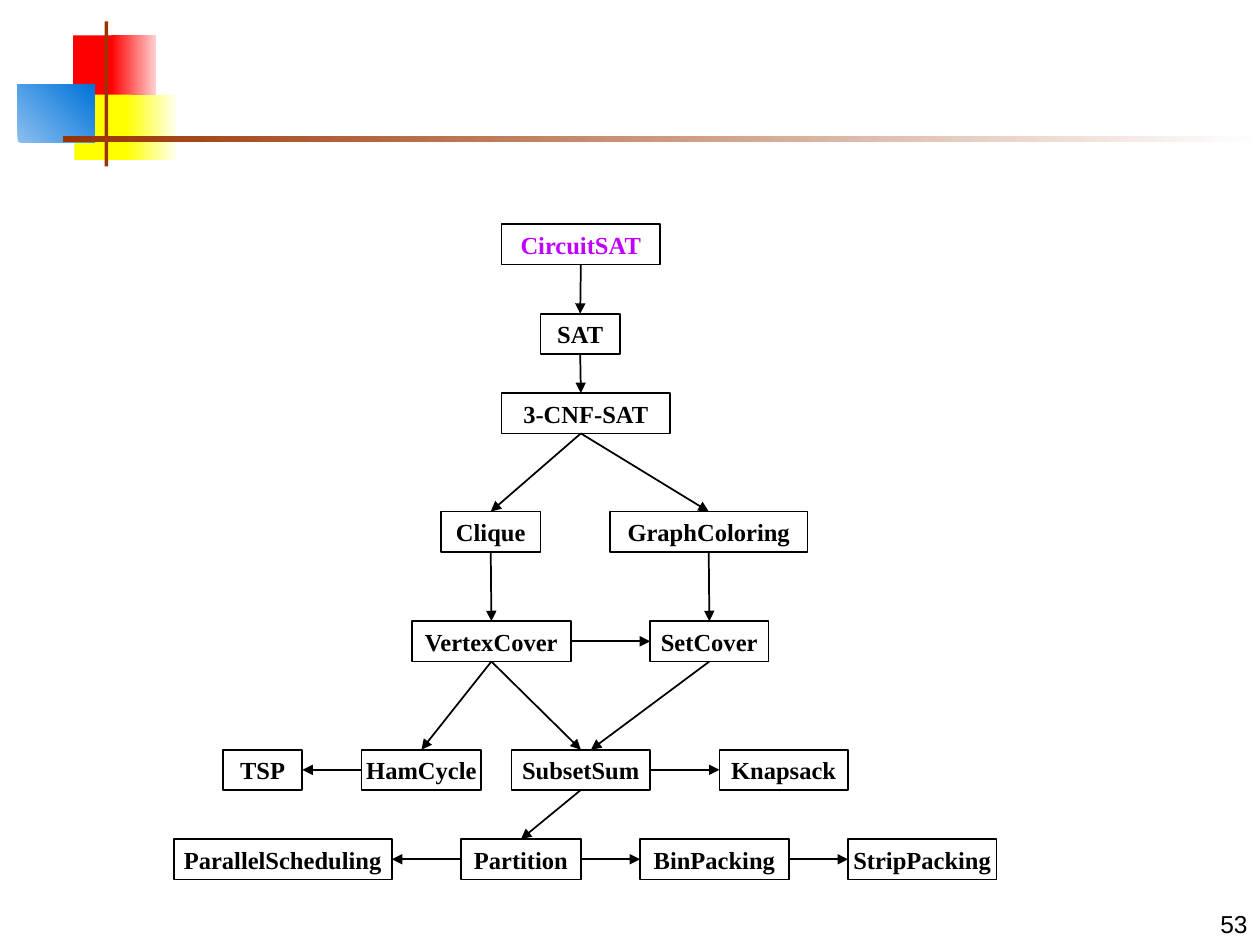
from pptx import Presentation
from pptx import util as u
from pptx.dml.color import RGBColor
from pptx.enum import shapes, text
from pptx.oxml import ns, xmlchemy

BLACK = RGBColor(0x00, 0x00, 0x00)
WHITE = RGBColor(0xFF, 0xFF, 0xFF)
PURPLE = RGBColor(0xBF, 0x00, 0xFF)
RED = RGBColor(0xFF, 0x00, 0x00)
PINK = RGBColor(0xFF, 0xD1, 0xD1)
YELLOW = RGBColor(0xFF, 0xFF, 0x00)
CREAM = RGBColor(0xFF, 0xFF, 0xF0)
SKY = RGBColor(0x8B, 0xBF, 0xEE)
BLUE = RGBColor(0x00, 0x73, 0xD9)
BROWN = RGBColor(0x99, 0x33, 0x00)

BOX_HEIGHT = 0.32

ORNAMENT = [
    ((0.58, 0.28, 0.35, 0.52), (RED,), 0),
    ((0.88, 0.28, 0.36, 0.52), (RED, PINK), 0),
    ((0.59, 0.75, 0.46, 0.52), (YELLOW,), 0),
    ((1, 0.75, 0.4, 0.52), (YELLOW, CREAM), 0),
    ((0.14, 0.67, 0.61, 0.46), (SKY, BLUE), 45),
    ((0.83, 0.17, 0.03, 1.15), (BROWN,), 0),
    ((0.5, 1.08, 9.5, 0.05), (BROWN, WHITE), 0),
]

ROWS = {
    1.78: [("CircuitSAT", 3.98, 1.26)],
    2.49: [("SAT", 4.29, 0.63)],
    3.12: [("3-CNF-SAT", 3.98, 1.34)],
    4.06: [("Clique", 3.5, 0.79), ("GraphColoring", 4.84, 1.57)],
    4.93: [("VertexCover", 3.27, 1.26), ("SetCover", 5.16, 0.94)],
    5.95: [("TSP", 1.77, 0.63), ("HamCycle", 2.87, 0.95),
           ("SubsetSum", 4.06, 1.1), ("Knapsack", 5.71, 1.02)],
    6.66: [("ParallelScheduling", 1.38, 1.73), ("Partition", 3.66, 0.95),
           ("BinPacking", 5.08, 1.18), ("StripPacking", 6.73, 1.18)],
}

REDUCTIONS = [
    ("CircuitSAT", "SAT"),
    ("SAT", "3-CNF-SAT"),
    ("3-CNF-SAT", "Clique"),
    ("3-CNF-SAT", "GraphColoring"),
    ("Clique", "VertexCover"),
    ("GraphColoring", "SetCover"),
    ("VertexCover", "SetCover"),
    ("VertexCover", "HamCycle"),
    ("VertexCover", "SubsetSum"),
    ("SetCover", "SubsetSum"),
    ("HamCycle", "TSP"),
    ("SubsetSum", "Knapsack"),
    ("SubsetSum", "Partition"),
    ("Partition", "ParallelScheduling"),
    ("Partition", "BinPacking"),
    ("BinPacking", "StripPacking"),
]

TRUNK_X = 4.61
ARRIVALS = {("SAT", "3-CNF-SAT"): TRUNK_X, ("SetCover", "SubsetSum"): 4.69}
DEPARTURES = {"3-CNF-SAT": TRUNK_X}


class ReductionSlide:
    """Draws the parts of a reduction map on one slide in a shared style."""

    def __init__(self, slide):
        self.slide = slide
        self.places = {}

    def rectangle(self, place):
        shape = self.slide.shapes.add_shape(
            shapes.MSO_SHAPE.RECTANGLE, *map(u.Inches, place))
        shape.shadow.inherit = False
        return shape

    def block(self, place, colors, angle):
        block = self.rectangle(place)
        block.line.fill.background()
        if len(colors) == 1:
            block.fill.solid()
            block.fill.fore_color.rgb = colors[0]
            return
        block.fill.gradient()
        block.fill.gradient_angle = angle
        for stop, color in zip(block.fill.gradient_stops, colors):
            stop.color.rgb = color

    def label(self, shape, words, font_name, color, align, anchor):
        frame = shape.text_frame
        frame.vertical_anchor = anchor
        paragraph = frame.paragraphs[0]
        paragraph.text = words
        paragraph.alignment = align
        paragraph.font.name = font_name
        paragraph.font.size = u.Pt(14)
        paragraph.font.color.rgb = color
        return paragraph

    def problem(self, name, left, top, width, color=BLACK):
        self.places[name] = left, top, width
        box = self.rectangle((left, top, width, BOX_HEIGHT))
        box.fill.background()
        box.line.color.rgb = BLACK
        box.line.width = u.Pt(1)
        caption = self.label(box, name, "Times New Roman", color,
                             text.PP_ALIGN.CENTER, text.MSO_ANCHOR.MIDDLE)
        caption.font.bold = True
        box.text_frame.word_wrap = False

    def reduction(self, source, target):
        left, top, width = self.places[source]
        to_left, to_top, to_width = self.places[target]
        if top == to_top:
            level = top + BOX_HEIGHT / 2
            if left < to_left:
                ends = left + width, level, to_left, level
            else:
                ends = left, level, to_left + to_width, level
        else:
            start = DEPARTURES.get(source, left + width / 2)
            end = ARRIVALS.get((source, target), to_left + to_width / 2)
            ends = start, top + BOX_HEIGHT, end, to_top
        arrow = self.slide.shapes.add_connector(
            shapes.MSO_CONNECTOR.STRAIGHT, *map(u.Inches, ends))
        arrow.line.color.rgb = BLACK
        arrow.line.width = u.Pt(1)
        head = xmlchemy.OxmlElement("a:tailEnd")
        head.set("type", "triangle")
        properties = arrow._element.spPr
        properties.find(ns.qn("a:ln")).append(head)
        properties.append(xmlchemy.OxmlElement("a:effectLst"))

    def page_number(self, number):
        box = self.slide.shapes.add_textbox(
            *map(u.Inches, (7.92, 7, 2.08, 0.5)))
        box.text_frame.word_wrap = True
        self.label(box, number, "Arial", BLACK,
                   text.PP_ALIGN.RIGHT, text.MSO_ANCHOR.BOTTOM)


def main():
    deck = Presentation()
    deck.slide_width, deck.slide_height = u.Inches(10), u.Inches(7.5)
    page = ReductionSlide(deck.slides.add_slide(deck.slide_layouts[6]))
    for place, colors, angle in ORNAMENT:
        page.block(place, colors, angle)
    page.page_number("53")
    for top, problems in ROWS.items():
        for name, left, width in problems:
            color = PURPLE if name == "CircuitSAT" else BLACK
            page.problem(name, left, top, width, color)
    for source, target in REDUCTIONS:
        page.reduction(source, target)
    deck.save("out.pptx")


if __name__ == "__main__":
    main()
